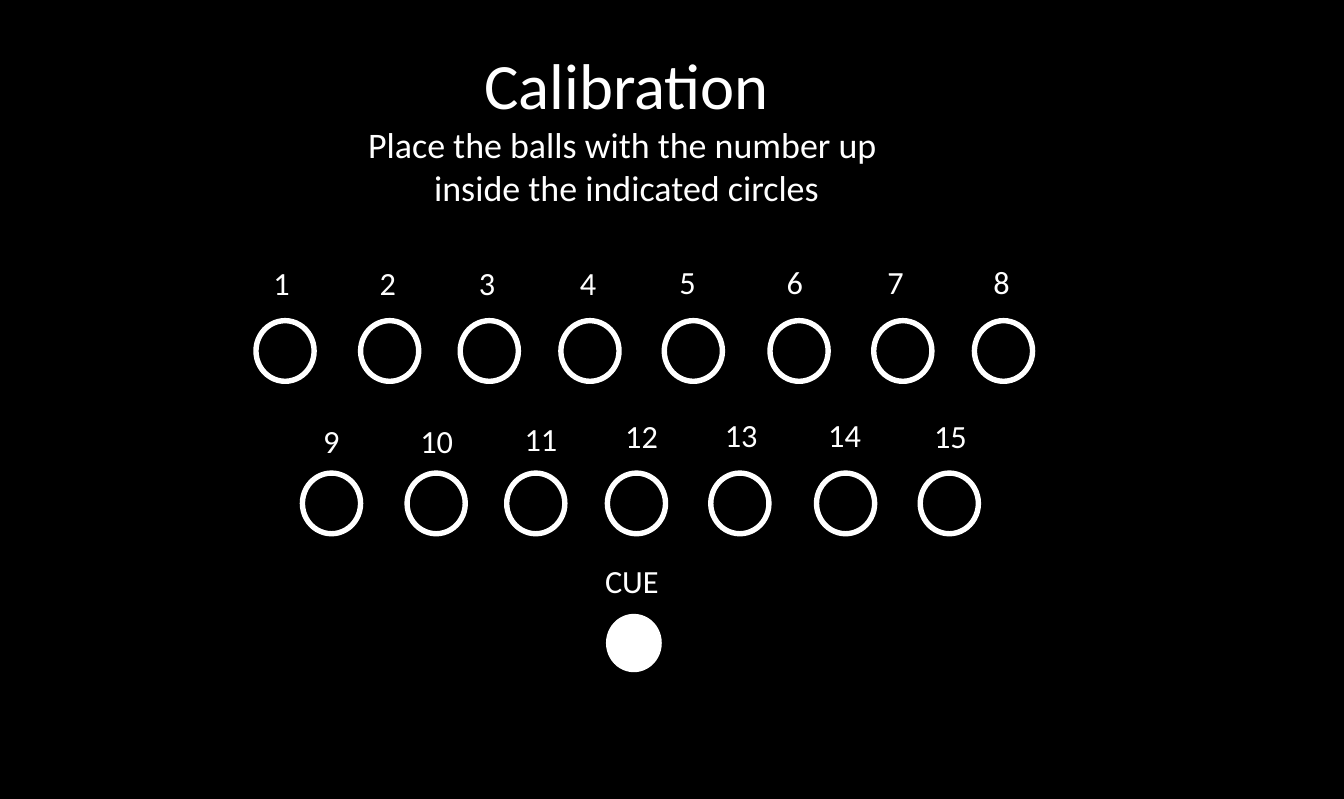
from typing import NamedTuple

from pptx import Presentation
from pptx.dml.color import RGBColor
from pptx.enum.shapes import MSO_SHAPE
from pptx.enum.text import MSO_AUTO_SIZE, PP_ALIGN
from pptx.slide import Slide
from pptx.util import Pt

BLACK = "000000"
WHITE = "FFFFFF"
FONT = "Calibri"
SPOT_OFFSETS = [0, 58.3, 113.8, 169.9, 227.5, 286.4, 344.2, 400.3]
SPOT_SIZE = (32.4, 33.8)
CUE_SIZE = (28.1, 29.5)
LABEL_HEIGHT = 28.8


class Line(NamedTuple):
    text: str
    size: float


class Label(NamedTuple):
    left: float
    top: float
    width: float


class BallRow(NamedTuple):
    first_number: int
    left: float
    top: float
    labels: list[Label]


ROWS = [
    BallRow(1, 142.6, 178.6, [
        Label(141.8, 143.3, 30.2),
        Label(200.9, 143.3, 30.2),
        Label(256.3, 143.3, 30.2),
        Label(312.5, 143.3, 30.2),
        Label(367.9, 142.6, 30.2),
        Label(427.7, 142.6, 30.2),
        Label(483.8, 142.6, 30.2),
        Label(542.9, 142.6, 30.2),
    ]),
    BallRow(9, 168.5, 263.5, [
        Label(167, 231.1, 35.3),
        Label(219.6, 231.1, 47.5),
        Label(262.1, 229.7, 78.5),
        Label(328.3, 228.2, 58.3),
        Label(383.8, 227.5, 58.3),
        Label(441.4, 227.5, 58.3),
        Label(500.4, 228.2, 58.3),
    ]),
]


def color(hex_code: str) -> RGBColor:
    return RGBColor.from_string(hex_code)


def add_text(slide: Slide, place: Label, height: float, lines: list[Line]) -> None:
    box = slide.shapes.add_textbox(
        Pt(place.left), Pt(place.top), Pt(place.width), Pt(height))
    frame = box.text_frame
    frame.word_wrap = True
    frame.auto_size = MSO_AUTO_SIZE.SHAPE_TO_FIT_TEXT
    for index, line in enumerate(lines):
        paragraph = frame.add_paragraph() if index else frame.paragraphs[0]
        paragraph.text = line.text
        paragraph.alignment = PP_ALIGN.CENTER
        paragraph.font.name = FONT
        paragraph.font.size = Pt(line.size)
        paragraph.font.color.rgb = color(WHITE)


def add_spot(slide: Slide, left: float, top: float,
             size: tuple[float, float], filled: bool = False) -> None:
    width, height = size
    spot = slide.shapes.add_shape(
        MSO_SHAPE.OVAL, Pt(left), Pt(top), Pt(width), Pt(height))
    spot.shadow.inherit = False
    spot.line.color.rgb = color(WHITE)
    spot.line.width = Pt(3)
    if filled:
        spot.fill.solid()
        spot.fill.fore_color.rgb = color(WHITE)
    else:
        spot.fill.background()


def add_row(slide: Slide, row: BallRow) -> None:
    for index, (offset, label) in enumerate(zip(SPOT_OFFSETS, row.labels)):
        add_spot(slide, row.left + offset, row.top, SPOT_SIZE)
        number = str(row.first_number + index)
        add_text(slide, label, LABEL_HEIGHT, [Line(number, 18)])


presentation = Presentation()
presentation.slide_width = Pt(748.8)
presentation.slide_height = Pt(445)
slide = presentation.slides.add_slide(presentation.slide_layouts[6])
slide.background.fill.solid()
slide.background.fill.fore_color.rgb = color(BLACK)

add_text(slide, Label(141.8, 21.6, 414.7), 99.4, [
    Line("Calibration", 36),
    Line("Place the balls with the number up ", 20),
    Line("inside the indicated circles", 20),
])
for row in ROWS:
    add_row(slide, row)
add_spot(slide, 339.1, 343.4, CUE_SIZE, filled=True)
add_text(slide, Label(326.9, 308.9, 50.4), LABEL_HEIGHT, [Line("CUE", 18)])

presentation.save("out.pptx")
